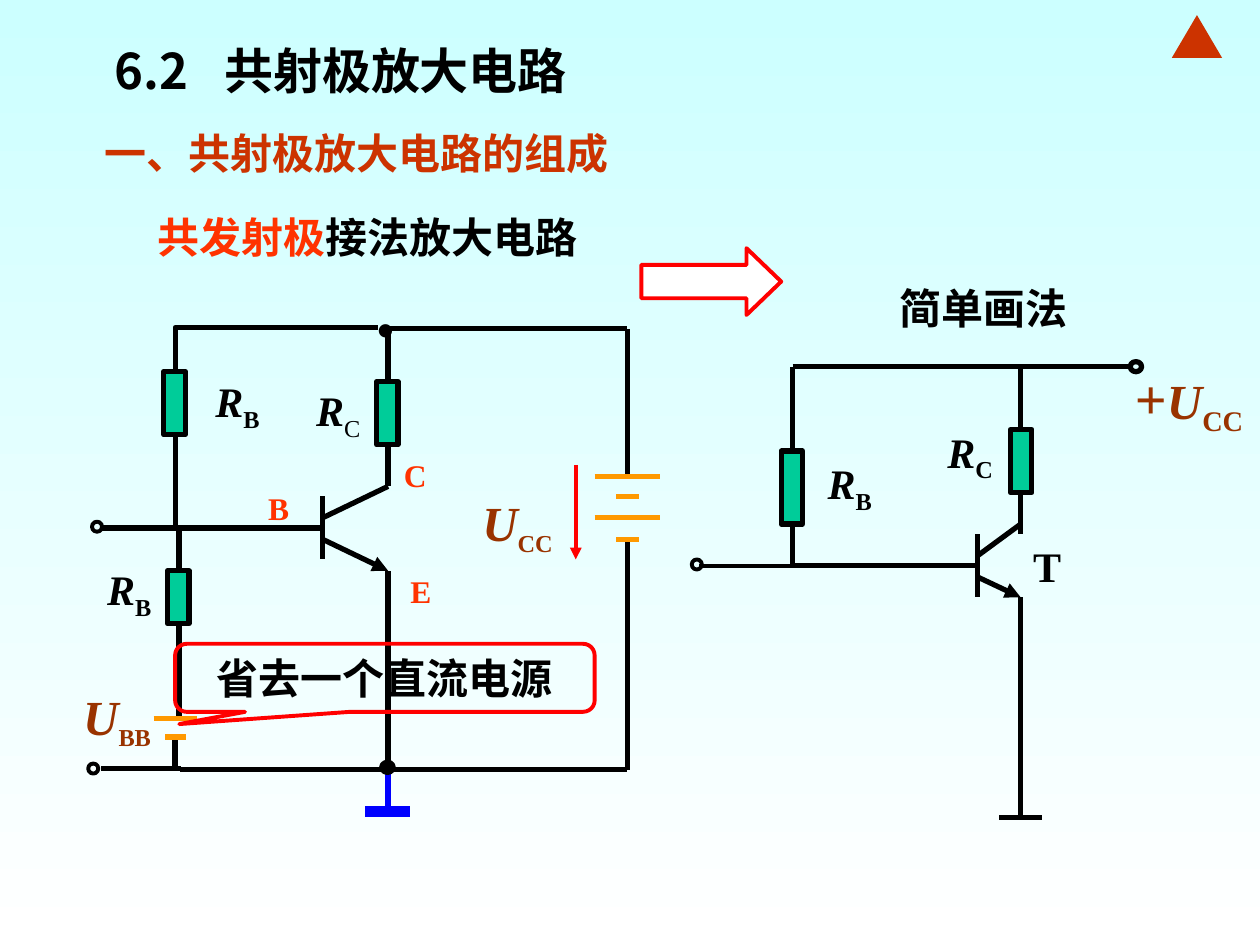
"""Build the common-emitter amplifier slide: full circuit on the left, simplified drawing on the right."""
from lxml.etree import SubElement
from pptx import Presentation
from pptx.dml.color import RGBColor
from pptx.enum.shapes import MSO_CONNECTOR, MSO_SHAPE as Shape
from pptx.enum.text import MSO_ANCHOR, MSO_AUTO_SIZE, PP_ALIGN as Align
from pptx.oxml.ns import qn
from pptx.util import Pt

PX = 9144
BLACK, RED, ORANGE, BLUE = "000000", "FF0000", "FF9900", "0000FF"
BROWN, TERMINAL, GREEN, RUST = "993300", "FF3300", "00CC99", "CC3300"
SERIF, SANS = "Times New Roman", "Noto Sans CJK SC"
rgb = RGBColor.from_string


def write(paragraph, text, size=24, color=BLACK, bold=True, italic=False, sub=False, face=SERIF):
    run = paragraph.add_run()
    run.text = text
    font = run.font
    font.size, font.bold, font.italic, font.name = Pt(size), bold, italic, face
    font.color.rgb = rgb(color)
    properties = run._r.get_or_add_rPr()
    SubElement(properties, qn("a:ea"), typeface=SANS)
    if sub:
        properties.set("baseline", "-25000")


def frame_up(frame, align):
    frame.vertical_anchor = MSO_ANCHOR.MIDDLE
    frame.margin_left = frame.margin_right = 10 * PX
    frame.margin_top = frame.margin_bottom = 5 * PX
    frame.paragraphs[0].alignment = align
    return frame.paragraphs[0]


deck = Presentation()
deck.slide_width, deck.slide_height = 1000 * PX, 750 * PX
slide = deck.slides.add_slide(deck.slide_layouts[5])
shapes = slide.shapes

backdrop = slide.background.fill
backdrop.gradient()
backdrop.gradient_angle = 270
for stop, color, position in zip(backdrop.gradient_stops, ("CCFFFF", "FFFFFF"), (0, 1)):
    stop.color.rgb = rgb(color)
    stop.position = position

title = shapes.title
title.left, title.top, title.width, title.height = 81 * PX, 27 * PX, 895 * PX, 57 * PX
heading = frame_up(title.text_frame, Align.LEFT)
tab_stops = SubElement(heading._p.get_or_add_pPr(), qn("a:tabLst"))
SubElement(tab_stops, qn("a:tab"), pos=str(87 * PX), algn="l")
write(heading, "6.2\t共射极放大电路", size=28, face=SANS)

base_loop = shapes.build_freeform(198, 419, scale=PX)
base_loop.add_line_segments([(139, 419), (139, 260), (300, 260)], close=False)
base_wire = base_loop.convert_to_shape()
base_wire.shadow.inherit = False
base_wire.fill.background()
base_wire.line.color.rgb = rgb(BLACK)
base_wire.line.width = Pt(3)

wires = [
    (BLACK, 3, False, [
        (629, 291, 897, 291), (629, 291, 629, 358), (810, 291, 810, 341), (810, 391, 810, 424),
        (776, 424, 776, 474), (776, 441, 810, 416), (810, 474, 810, 649), (629, 416, 629, 449),
        (793, 649, 827, 649), (629, 449, 776, 449),
        (139, 586, 139, 611), (142, 420, 142, 570), (256, 419, 143, 419), (256, 394, 256, 444),
        (256, 411, 308, 386), (308, 353, 308, 386), (308, 302, 308, 261), (308, 453, 308, 611),
        (308, 261, 498, 261), (498, 261, 498, 378), (143, 611, 498, 611), (498, 428, 498, 611),
        (80, 419, 150, 419), (80, 610, 144, 610)]),
    (BLACK, 2.25, False, [(555, 449, 629, 449)]),
    (BLACK, 3, True, [(776, 458, 810, 474), (256, 428, 308, 453)]),
    (ORANGE, 3, False, [
        (122, 570, 156, 570), (131, 585, 148, 585), (472, 378, 524, 378),
        (489, 394, 507, 394), (472, 411, 524, 411), (489, 428, 507, 428)]),
    (BLUE, 3, False, [(308, 611, 308, 644)]),
    (BLUE, 6, False, [(290, 644, 325, 644)]),
    (RED, 2.25, True, [(457, 369, 457, 444)]),
]
for color, weight, arrow, segments in wires:
    for segment in segments:
        wire = shapes.add_connector(MSO_CONNECTOR.STRAIGHT, *(end * PX for end in segment))
        wire.line.color.rgb = rgb(color)
        wire.line.width = Pt(weight)
        if arrow:
            SubElement(wire.get_or_add_ln(), qn("a:tailEnd"), type="triangle")
        SubElement(wire._element.spPr, qn("a:effectLst"))

parts = [
    (Shape.RECTANGLE, (130, 295, 17, 50), GREEN, BLACK, 3, ()),
    (Shape.RECTANGLE, (133, 453, 17, 42), GREEN, BLACK, 3, ()),
    (Shape.RECTANGLE, (299, 303, 17, 50), GREEN, BLACK, 3, ()),
    (Shape.RECTANGLE, (620, 358, 17, 58), GREEN, BLACK, 3, ()),
    (Shape.RECTANGLE, (802, 341, 17, 50), GREEN, BLACK, 3, ()),
    (Shape.OVAL, (897, 287, 9, 8), None, BLACK, 3, ()),
    (Shape.OVAL, (303, 605, 9, 8), BLACK, BLACK, 3, ()),
    (Shape.OVAL, (549, 444, 8, 8), None, BLACK, 2.25, ()),
    (Shape.OVAL, (73, 414, 8, 8), None, BLACK, 2.25, ()),
    (Shape.OVAL, (70, 606, 8, 8), None, BLACK, 2.25, ()),
    (Shape.ISOSCELES_TRIANGLE, (930, 12, 40, 34), RUST, None, 0, ()),
    (Shape.RIGHT_ARROW, (509, 197, 111, 53), "FFFFFF", RED, 2.25, (0.5, 0.52)),
    (Shape.ROUNDED_RECTANGULAR_CALLOUT, (139, 511, 333, 54), None, RED, 2.25, (-0.49, 0.68, 0.17)),
]
for kind, place, fill, outline, weight, adjustments in parts:
    part = shapes.add_shape(kind, *(length * PX for length in place))
    part.shadow.inherit = False
    if fill:
        part.fill.solid()
        part.fill.fore_color.rgb = rgb(fill)
    else:
        part.fill.background()
    if outline:
        part.line.color.rgb = rgb(outline)
        part.line.width = Pt(weight)
    else:
        part.line.fill.background()
    for index, value in enumerate(adjustments):
        part.adjustments[index] = value
callout = part
write(frame_up(callout.text_frame, Align.CENTER), "省去一个直流电源")

resistor = dict(italic=True)
source = dict(size=28, color=BROWN, italic=True)
node = dict(size=18, color=TERMINAL)
supply_sub = dict(color=BROWN, sub=True)
base_resistor = [("R", resistor), ("B", dict(sub=True))]
labels = [
    ((73, 96, 673, 50), Align.LEFT, [("一、共射极放大电路的组成", dict(color=RUST))]),
    ((57, 163, 470, 50), Align.CENTER, [("共发射极", dict(color=TERMINAL)), ("接法放大电路", {})]),
    ((704, 219, 153, 50), Align.CENTER, [("简单画法", {})]),
    ((161, 293, 55, 56), Align.CENTER, base_resistor),
    ((75, 442, 55, 56), Align.CENTER, base_resistor),
    ((647, 358, 55, 56), Align.LEFT, base_resistor),
    ((241, 300, 55, 56), Align.CENTER, [("R", resistor), ("C", dict(bold=False, sub=True))]),
    ((742, 333, 56, 56), Align.LEFT, [("R", resistor), ("C", dict(sub=True))]),
    ((810, 424, 42, 50), Align.LEFT, [("T", {})]),
    ((891, 283, 106, 69), Align.LEFT,
     [("+", dict(size=32, color=BROWN)), ("U", source), ("CC", dict(supply_sub, size=28))]),
    ((373, 386, 76, 61), Align.LEFT, [("U", source), ("CC", supply_sub)]),
    ((56, 540, 74, 61), Align.CENTER, [("U", source), ("BB", supply_sub)]),
    ((290, 357, 79, 40), Align.CENTER, [("C", node)]),
    ((316, 449, 36, 40), Align.CENTER, [("E", node)]),
    ((203, 383, 36, 40), Align.CENTER, [("B", node)]),
    ((289, 232, 33, 57), Align.CENTER, [("•", dict(size=28, italic=True))]),
]
for place, align, pieces in labels:
    label = shapes.add_textbox(*(length * PX for length in place)).text_frame
    label.word_wrap = place[2] > 400
    label.auto_size = MSO_AUTO_SIZE.SHAPE_TO_FIT_TEXT
    line = frame_up(label, align)
    for text, style in pieces:
        write(line, text, **style)

deck.save("out.pptx")
